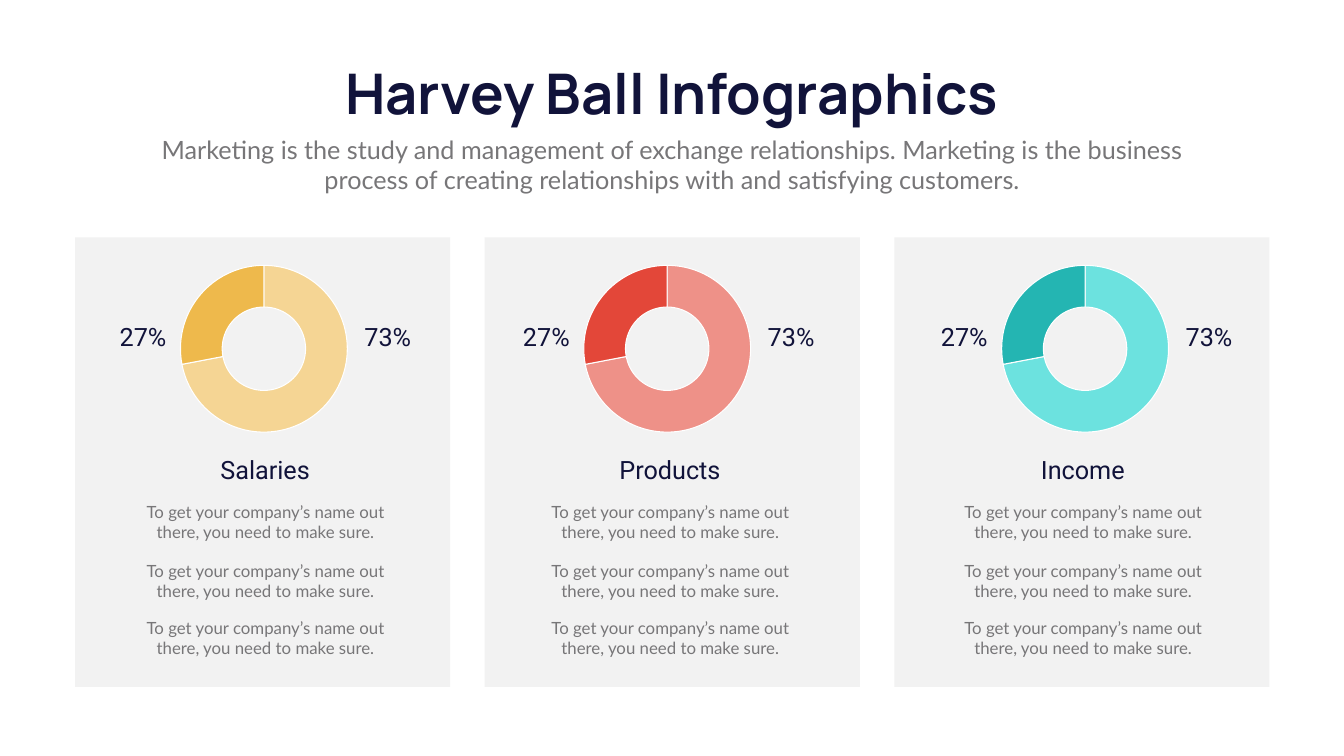
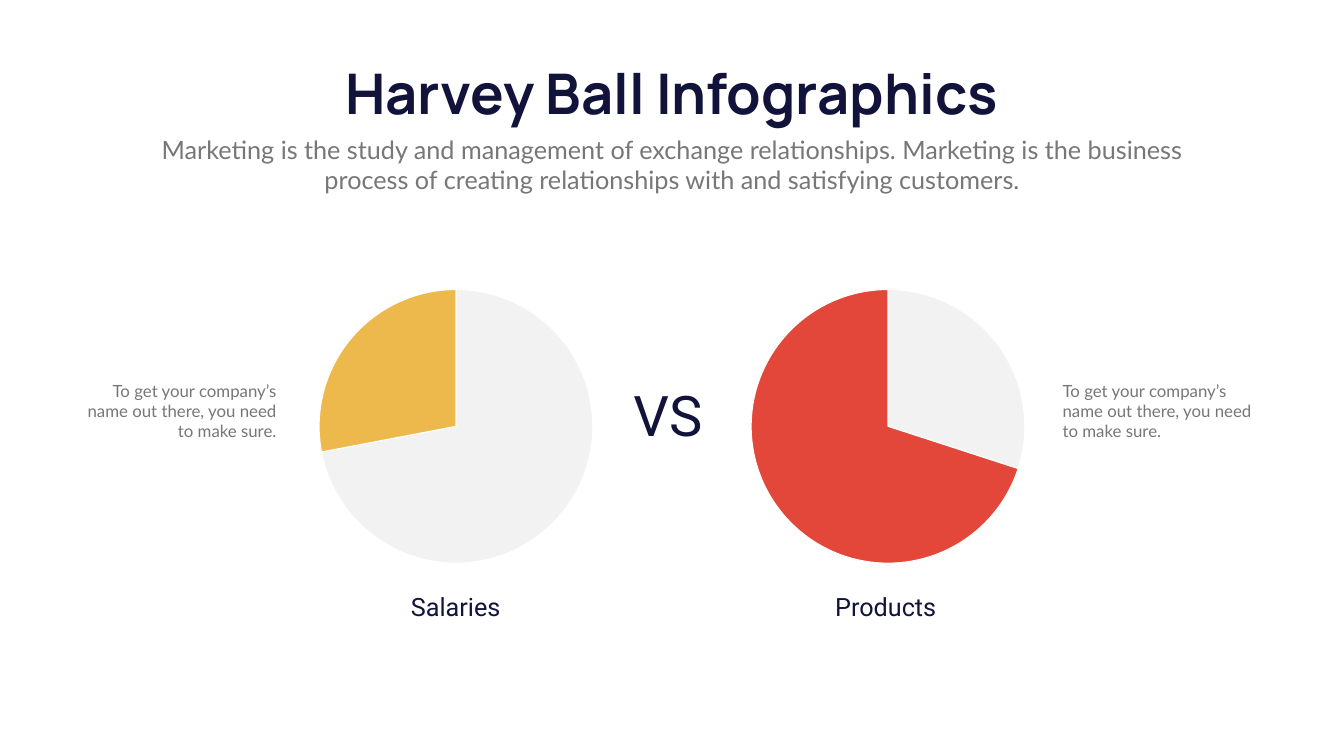
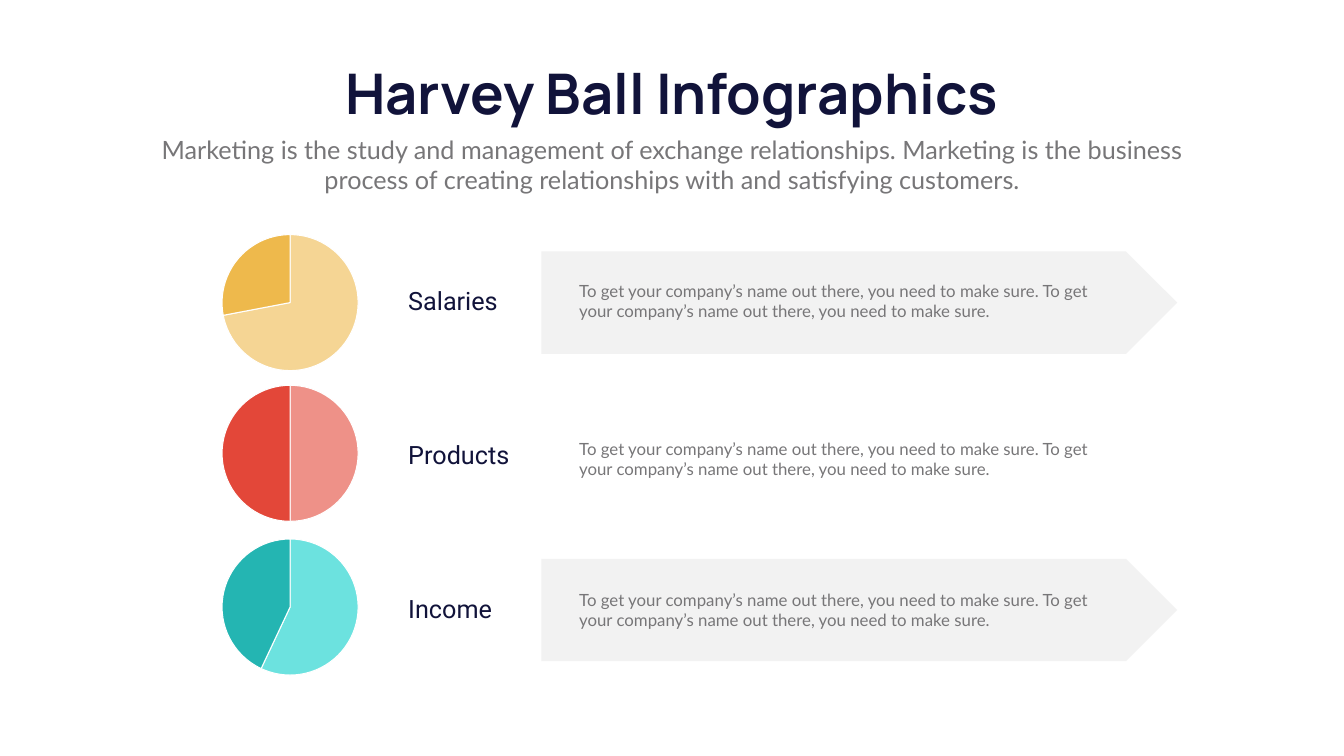
from lxml import etree
from pptx import Presentation
from pptx.chart.data import CategoryChartData
from pptx.dml.color import RGBColor
from pptx.enum.chart import XL_CHART_TYPE as ChartType
from pptx.enum.shapes import MSO_SHAPE as ShapeType
from pptx.enum.text import MSO_ANCHOR as Anchor
from pptx.enum.text import MSO_AUTO_SIZE as AutoSize
from pptx.enum.text import PP_ALIGN as Align
from pptx.oxml.ns import qn
from pptx.util import Inches, Pt

NAVY = RGBColor(0x11, 0x13, 0x3A)
GRAY = RGBColor(0x77, 0x76, 0x78)
PANEL = RGBColor(0xF2, 0xF2, 0xF2)
WHITE = RGBColor(0xFF, 0xFF, 0xFF)
YELLOW, PALE_YELLOW = RGBColor(0xEE, 0xB9, 0x4C), RGBColor(0xF5, 0xD5, 0x94)
RED, PALE_RED = RGBColor(0xE3, 0x47, 0x39), RGBColor(0xEE, 0x91, 0x88)
TEAL, PALE_TEAL = RGBColor(0x24, 0xB5, 0xB2), RGBColor(0x6C, 0xE2, 0xDF)

TITLE_FONT, LABEL_FONT, BODY_FONT = "Manrope", "Roboto", "Lato"
TITLE = "Harvey Ball Infographics"
SUBTITLE = (
    "Marketing is the study and management of exchange relationships. "
    "Marketing is the business process of creating relationships with "
    "and satisfying customers."
)
BLURB = "To get your company’s name out there, you need to make sure."
TOPICS = [
    ("Salaries", (PALE_YELLOW, YELLOW)),
    ("Products", (PALE_RED, RED)),
    ("Income", (PALE_TEAL, TEAL)),
]
CHART_MARGIN = 0.29


def inches(*lengths):
    return [Inches(length) for length in lengths]


def write(shape, text, size, font, color, align, bold=False, wrap=True):
    frame = shape.text_frame
    frame.word_wrap = wrap
    frame.auto_size = AutoSize.SHAPE_TO_FIT_TEXT
    frame.vertical_anchor = Anchor.TOP
    paragraph = frame.paragraphs[0]
    paragraph.alignment = align
    run = paragraph.add_run()
    run.text = text
    run.font.size = Pt(size)
    run.font.name = font
    run.font.bold = bold
    run.font.color.rgb = color


def add_label(slide, text, left, top, width=3.26, height=0.71, align=Align.CENTER, size=36):
    shape = slide.shapes.add_textbox(*inches(left, top, width, height))
    write(shape, text, size, LABEL_FONT, NAVY, align)


def add_body(slide, text, left, top, width, height=0.91, align=Align.CENTER, size=24):
    shape = slide.shapes.add_textbox(*inches(left, top, width, height))
    write(shape, text, size, BODY_FONT, GRAY, align)


def add_panel(slide, kind, left, top, width, height):
    shape = slide.shapes.add_shape(kind, *inches(left, top, width, height))
    shape.shadow.inherit = False
    shape.fill.solid()
    shape.fill.fore_color.rgb = PANEL
    shape.line.fill.background()


def center_plot(chart, width, height):
    plot_area = chart._chartSpace.chart.plotArea
    for old_layout in plot_area.findall(qn("c:layout")):
        plot_area.remove(old_layout)
    layout = etree.Element(qn("c:layout"))
    manual = etree.SubElement(layout, qn("c:manualLayout"))
    side = height - CHART_MARGIN
    settings = [
        ("layoutTarget", "inner"),
        ("xMode", "edge"),
        ("yMode", "edge"),
        ("x", (1 - side / width) / 2),
        ("y", (1 - side / height) / 2),
        ("w", side / width),
        ("h", side / height),
    ]
    for name, value in settings:
        etree.SubElement(manual, qn(f"c:{name}")).set("val", str(value))
    plot_area.insert(0, layout)


def add_ball(slide, kind, values, colors, left, top, width, height):
    data = CategoryChartData()
    data.categories = ["1", "2"]
    data.add_series("Series 1", values)
    chart = slide.shapes.add_chart(kind, *inches(left, top, width, height), data).chart
    chart.has_legend = False
    chart.has_title = False
    chart.font.size = Pt(10)
    chart.font.name = "Calibri"
    chart.font.color.rgb = GRAY
    plot = chart.plots[0]
    plot.vary_by_categories = True
    for index, color in enumerate(colors):
        point = plot.series[0].points[index].format
        point.fill.solid()
        point.fill.fore_color.rgb = color
        point.line.color.rgb = WHITE
        point.line.width = Pt(1.5)
    center_plot(chart, width, height)


def add_titled_slide(presentation):
    slide = presentation.slides.add_slide(presentation.slide_layouts[5])
    slide.background.fill.solid()
    slide.background.fill.fore_color.rgb = WHITE
    title = slide.shapes.title
    title.left, title.top, title.width, title.height = inches(6.14, 1.12, 14.37, 1.45)
    write(title, TITLE, 80, TITLE_FONT, NAVY, Align.CENTER, bold=True, wrap=False)
    add_body(slide, SUBTITLE, 2.92, 2.61, 20.82, 1.31, size=36)
    return slide


def add_card_text(slide, name, left, top):
    add_label(slide, name, left + 1.16, top)
    for offset in (0.95, 2.11, 3.24):
        add_body(slide, BLURB, left, top + offset, 5.59)


def add_card_chart(slide, colors, left, top):
    add_ball(slide, ChartType.DOUGHNUT, (72, 28), colors, left, top, 5.39, 3.6)
    add_label(slide, "73%", left + 4.59, top + 1.2, 1.45, align=Align.LEFT)
    add_label(slide, "27%", left - 0.59, top + 1.2, 1.45, align=Align.RIGHT)


def build_cards(presentation):
    slide = add_titled_slide(presentation)
    top = 4.71
    text_lefts = (2.47, 10.5, 18.69)
    chart_lefts = (2.54, 10.54, 18.83)
    for index, (name, colors) in enumerate(TOPICS):
        add_panel(slide, ShapeType.RECTANGLE, 1.49 + index * 8.125, top, 7.44, 8.92)
        add_card_text(slide, name, text_lefts[index], top + 4.25)
        add_card_chart(slide, colors, chart_lefts[index], top + 0.41)


def build_comparison(presentation):
    slide = add_titled_slide(presentation)
    sides = [
        ("Salaries", (72, 28), YELLOW, 4.76, 7.41, 1.55, Align.RIGHT),
        ("Products", (30, 70), RED, 13.33, 15.94, 20.98, Align.LEFT),
    ]
    for name, values, color, chart_left, label_left, text_left, align in sides:
        add_ball(slide, ChartType.PIE, values, (PANEL, color), chart_left, 5.6, 8.57, 5.72)
        add_label(slide, name, label_left, 11.69)
        add_body(slide, BLURB, text_left, 7.5, 4.03, 1.31, align)
    add_label(slide, "VS", 11.62, 7.5, height=1.45, size=80)


def build_rows(presentation):
    slide = add_titled_slide(presentation)
    shares = ((72, 28), (50, 50), (57, 43))
    chart_tops = (4.51, 7.5, 10.55)
    text_tops = (5.52, 8.65, 11.65)
    for index, (name, colors) in enumerate(TOPICS):
        row_top = 4.99 + index * 3.05
        if index % 2 == 0:
            add_panel(slide, ShapeType.PENTAGON, 10.74, row_top, 12.61, 2.03)
        add_ball(slide, ChartType.PIE, shares[index], colors, 3.51, chart_tops[index], 4.49, 2.99)
        add_label(slide, name, 8, row_top + 0.63, align=Align.LEFT)
        add_body(slide, f"{BLURB} {BLURB}", 11.39, text_tops[index], 10.8, align=Align.LEFT)


def main():
    presentation = Presentation()
    presentation.slide_width, presentation.slide_height = inches(26.66, 15)
    build_cards(presentation)
    build_comparison(presentation)
    build_rows(presentation)
    presentation.save("out.pptx")


if __name__ == "__main__":
    main()
